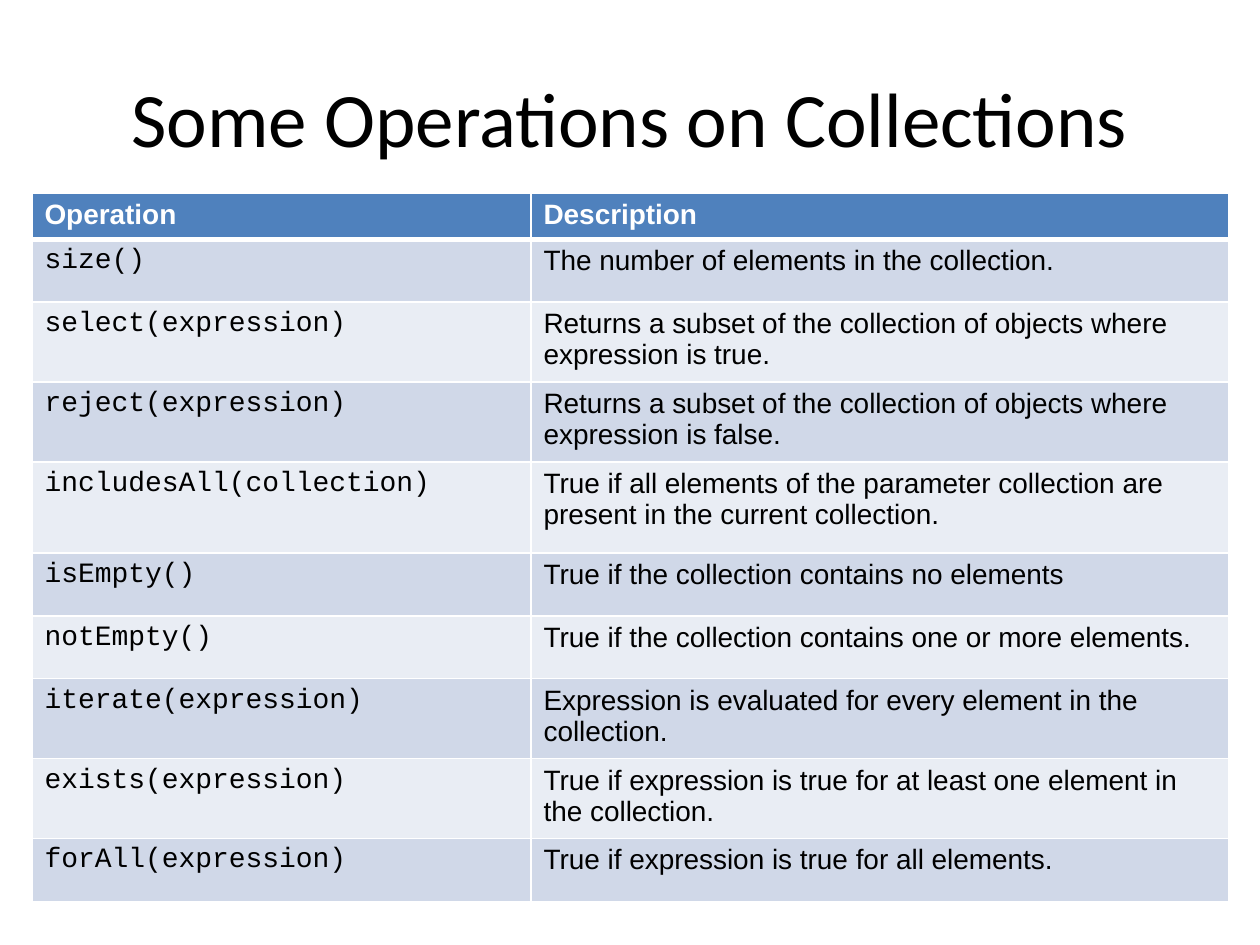
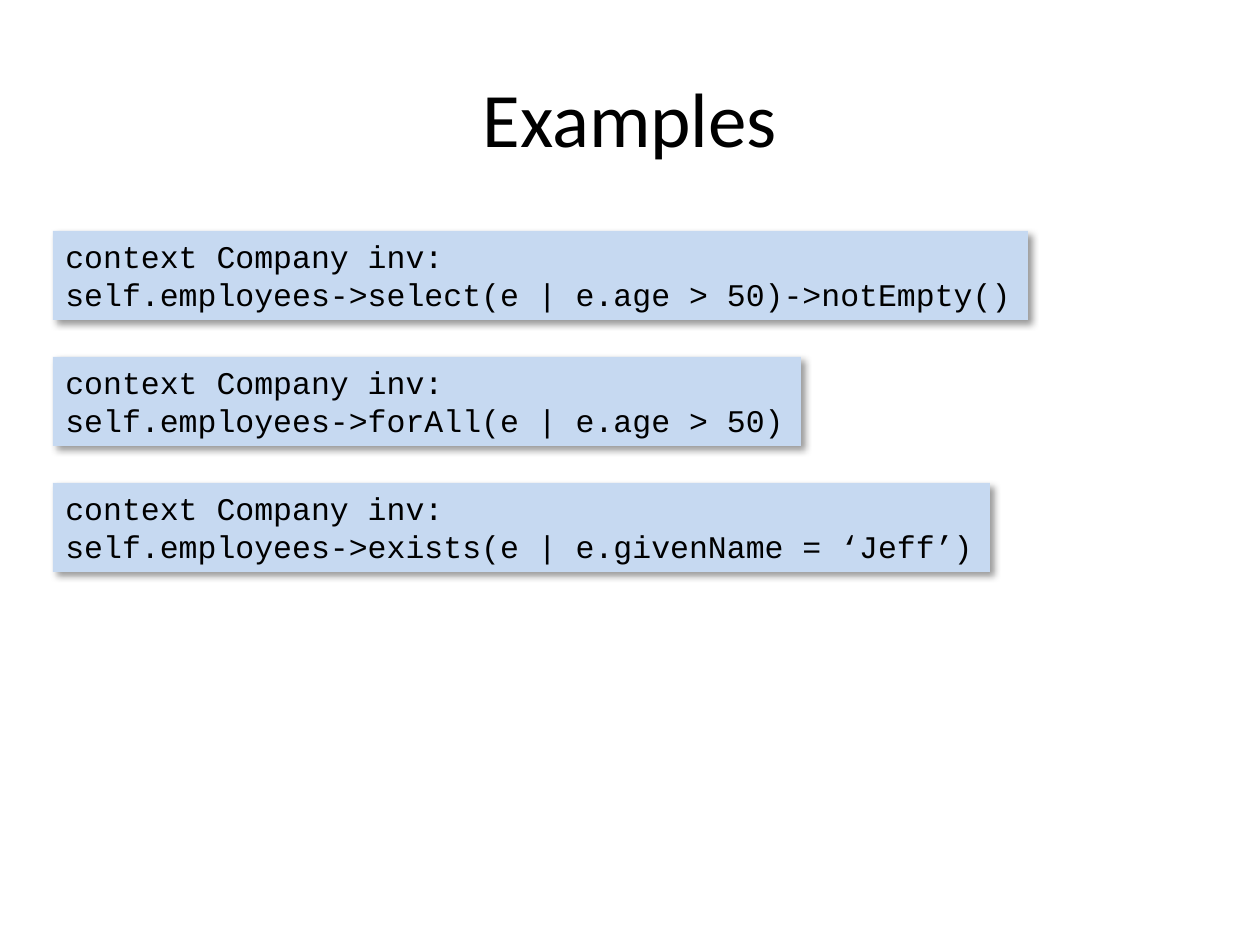
from lxml.etree import SubElement
from pptx import Presentation
from pptx.dml.color import RGBColor
from pptx.enum.shapes import MSO_SHAPE
from pptx.enum.text import MSO_ANCHOR, MSO_AUTO_SIZE, PP_ALIGN
from pptx.oxml import parse_xml
from pptx.oxml.ns import nsdecls, qn
from pptx.util import Emu, Pt

SCALE = 914400 // 126
BLACK = RGBColor(0x00, 0x00, 0x00)
WHITE = RGBColor(0xFF, 0xFF, 0xFF)
HEADER_BLUE = RGBColor(0x4F, 0x81, 0xBD)
BANDS = [RGBColor(0xE9, 0xED, 0xF4), RGBColor(0xD0, 0xD8, 0xE8)]
CODE_BLUE = RGBColor(0xC6, 0xD9, 0xF1)
TITLE_FONT, BODY_FONT, CODE_FONT = "Calibri", "Arial", "Courier New"

OPERATIONS_TITLE = "Some Operations on Collections"
OPERATIONS = [
    ("Operation", "Description"),
    ("size()", "The number of elements in the collection."),
    ("select(expression)",
     "Returns a subset of the collection of objects where expression is true."),
    ("reject(expression)",
     "Returns a subset of the collection of objects where expression is false."),
    ("includesAll(collection)",
     "True if all elements of the parameter collection are present in the current collection."),
    ("isEmpty()", "True if the collection contains no elements"),
    ("notEmpty()", "True if the collection contains one or more elements."),
    ("iterate(expression)", "Expression is evaluated for every element in the collection."),
    ("exists(expression)",
     "True if expression is true for at least one element in the collection."),
    ("forAll(expression)", "True if expression is true for all elements."),
]
COLUMN_WIDTHS = [499, 698]
ROW_HEIGHT = 63
SPECIAL_HEIGHTS = {0: 37, 4: 91}

EXAMPLES_TITLE = "Examples"
CONTEXT = "context Company inv:"
EXAMPLES = [
    "self.employees->select(e | e.age > 50)->notEmpty()",
    "self.employees->forAll(e | e.age > 50)",
    "self.employees->exists(e | e.givenName = ‘Jeff’)",
]
CODE_LEFT, CODE_TOP, CODE_HEIGHT, CODE_STEP = 53, 231, 89, 126
CHAR_WIDTH, CODE_PADDING = 18.9, 30


def px(*lengths):
    return [Emu(round(n * SCALE)) for n in lengths]


def write(tf, text, size=16, font=BODY_FONT, color=BLACK, bold=False, align=PP_ALIGN.LEFT):
    for i, line in enumerate(text.split("\n")):
        p = tf.add_paragraph() if i else tf.paragraphs[0]
        p.alignment = align
        r = p.add_run()
        r.text = line
        r.font.size = Pt(size)
        r.font.name = font
        r.font.bold = bold
        r.font.color.rgb = color


def add_slide(title):
    s = prs.slides.add_slide(prs.slide_layouts[6])
    tf = s.shapes.add_textbox(*px(63, 38, 1134, 157)).text_frame
    tf.word_wrap = True
    tf.vertical_anchor = MSO_ANCHOR.MIDDLE
    write(tf, title, size=44, font=TITLE_FONT, align=PP_ALIGN.CENTER)
    return s


def set_borders(cell, **widths):
    tc_pr = cell._tc.get_or_add_tcPr()
    for side in "LRTB":
        ln = SubElement(tc_pr, qn("a:ln" + side), w=str(Pt(widths.get(side, 1))))
        fill = SubElement(ln, qn("a:solidFill"))
        SubElement(fill, qn("a:srgbClr"), val=str(WHITE))


def add_operations(s):
    heights = [SPECIAL_HEIGHTS.get(i, ROW_HEIGHT) for i in range(len(OPERATIONS))]
    frame = s.shapes.add_table(len(OPERATIONS), len(COLUMN_WIDTHS),
                               *px(32, 193, sum(COLUMN_WIDTHS), sum(heights)))
    table = frame.table
    for column, width in zip(table.columns, px(*COLUMN_WIDTHS)):
        column.width = width
    for i, (row, height) in enumerate(zip(table.rows, px(*heights))):
        row.height = height
        header = i == 0
        for j, cell in enumerate(row.cells):
            set_borders(cell, T=3 if i == 1 else 1, B=3 if header else 1)
            cell.fill.solid()
            cell.fill.fore_color.rgb = HEADER_BLUE if header else BANDS[i % 2]
            write(cell.text_frame, OPERATIONS[i][j], bold=header,
                  font=BODY_FONT if header or j else CODE_FONT,
                  color=WHITE if header else BLACK)


def add_shadow(sp):
    sp._element.spPr.append(parse_xml(
        f'<a:effectLst {nsdecls("a")}>'
        '<a:outerShdw blurRad="50800" dist="38100" dir="2700000" algn="tl" rotWithShape="0">'
        f'<a:srgbClr val="{BLACK}"><a:alpha val="40000"/></a:srgbClr>'
        '</a:outerShdw></a:effectLst>'))


def add_example(s, index, code):
    width = round(len(code) * CHAR_WIDTH) + CODE_PADDING
    sp = s.shapes.add_shape(MSO_SHAPE.RECTANGLE, *px(
        CODE_LEFT, CODE_TOP + index * CODE_STEP, width, CODE_HEIGHT))
    sp.fill.solid()
    sp.fill.fore_color.rgb = CODE_BLUE
    sp.line.fill.background()
    add_shadow(sp)
    tf = sp.text_frame
    tf.word_wrap = False
    tf.auto_size = MSO_AUTO_SIZE.SHAPE_TO_FIT_TEXT
    tf.vertical_anchor = MSO_ANCHOR.TOP
    write(tf, f"{CONTEXT}\n{code}", size=18, font=CODE_FONT)


prs = Presentation()
prs.slide_width, prs.slide_height = px(1260, 945)

add_operations(add_slide(OPERATIONS_TITLE))

examples = add_slide(EXAMPLES_TITLE)
for index, code in enumerate(EXAMPLES):
    add_example(examples, index, code)

prs.save("out.pptx")
